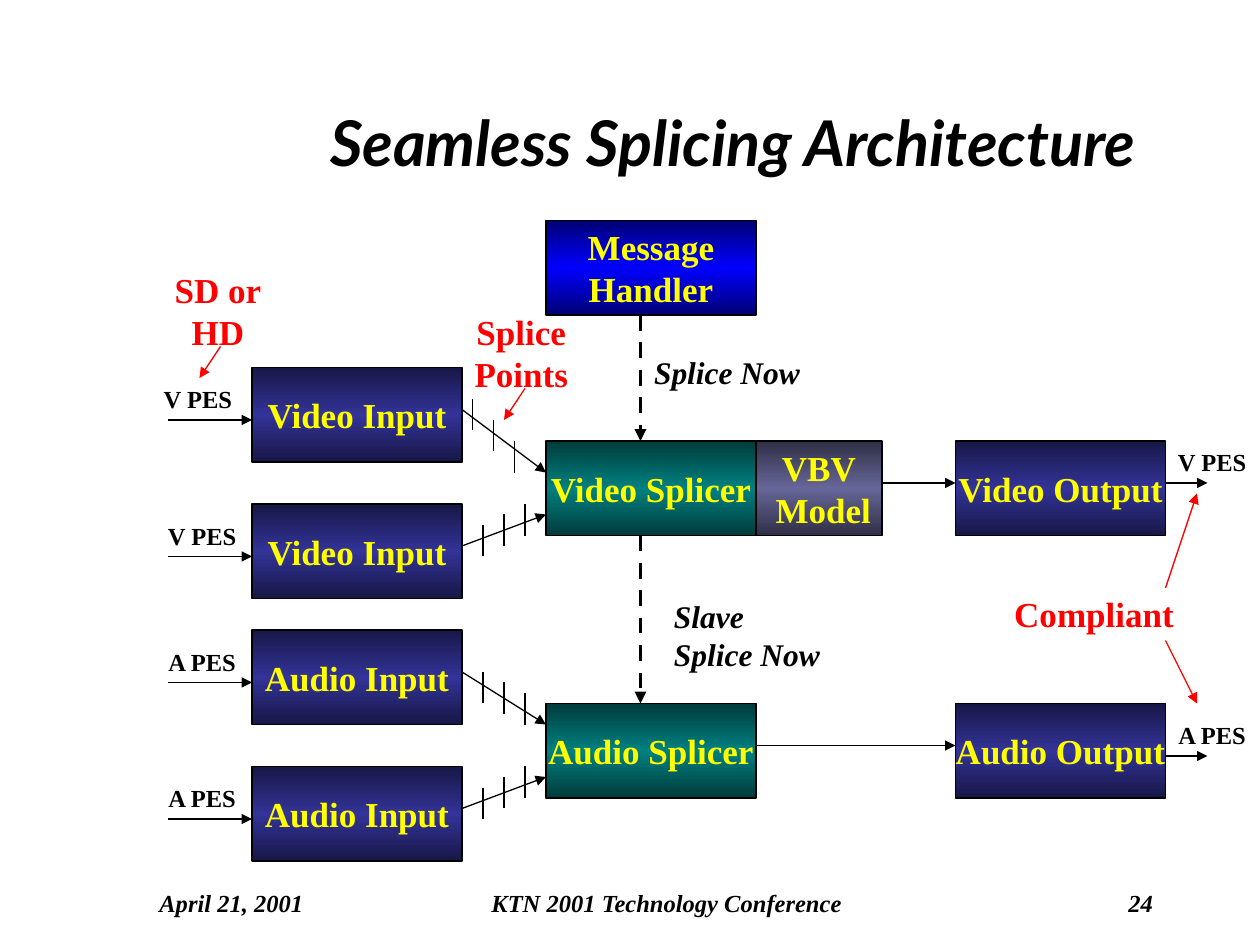
from copy import deepcopy

from pptx import Presentation
from pptx.dml.color import RGBColor
from pptx.enum.dml import MSO_LINE_DASH_STYLE as Dash
from pptx.enum.shapes import MSO_CONNECTOR as Connector, MSO_SHAPE as Preset
from pptx.enum.text import MSO_ANCHOR as Anchor, MSO_AUTO_SIZE as AutoSize, PP_ALIGN as Align
from pptx.oxml.ns import qn
from pptx.util import Cm, Pt

BLACK = RGBColor(0x00, 0x00, 0x00)
RED = RGBColor(0xFF, 0x00, 0x00)
YELLOW = RGBColor(0xFF, 0xFF, 0x00)
INDIGO = (RGBColor(0x17, 0x17, 0x46), RGBColor(0x33, 0x33, 0x99))
TEAL = (RGBColor(0x00, 0x3B, 0x3B), RGBColor(0x00, 0x80, 0x80))
SLATE = (RGBColor(0x2F, 0x2F, 0x46), RGBColor(0x66, 0x66, 0x99))
BLUE = (RGBColor(0x00, 0x00, 0x75), RGBColor(0x00, 0x00, 0xFF))

SERIF = "Times New Roman"
GRID_CM = 2.54 / 12
BOX_WIDTH, BOX_HEIGHT = 20, 9
TICK_HEIGHT = 3

BOXES = [
    ("Video Input", 24, 35, INDIGO),
    ("Video Input", 24, 48, INDIGO),
    ("Video Splicer", 52, 42, TEAL),
    ("Video Output", 91, 42, INDIGO),
    ("Message\nHandler", 52, 21, BLUE),
    ("Audio Input", 24, 60, INDIGO),
    ("Audio Input", 24, 73, INDIGO),
    ("Audio Splicer", 52, 67, TEAL),
    ("Audio Output", 91, 67, INDIGO),
]
STREAM_LABELS = [
    ("V PES", 14.4, 36), ("V PES", 14.8, 49), ("A PES", 14.8, 61),
    ("A PES", 14.8, 74), ("V PES", 111, 42), ("A PES", 111, 68),
]
INPUT_ROWS = [40, 53, 65, 78]
SPLICE_ARROWS = [
    ((44, 39), (52, 45)), ((44, 52), (52, 49)),
    ((44, 64), (52, 69)), ((44, 77), (52, 74)),
]
OUTPUT_ARROWS = [
    ((84, 46), (91, 46)), ((111, 46), (115, 46)),
    ((72, 71), (91, 71)), ((111, 72), (115, 72)),
]
MESSAGE_ARROWS = [((61, 30), (61, 42)), ((61, 51), (61, 67))]
CALLOUT_ARROWS = [
    ((111, 56), (114, 47)), ((111, 61), (114, 67)),
    ((50, 37), (48, 40)), ((21, 33), (19, 36)),
]
SPLICE_TICKS = [(45, 38, 2), (46, 50, -1), (46, 64, 1), (46, 75, -1)]
CALLOUTS = [
    ("Compliant", 95.4, 55.8, 17.6, 5.3),
    ("Splice\nPoints", 44, 29, 11.3, 9.2),
    ("SD or\nHD", 15.4, 25, 10.7, 9.2),
]
FOOTERS = [
    ("April 21, 2001", 14, 20, Align.LEFT),
    ("KTN 2001 Technology Conference", 39, 49, Align.CENTER),
    ("24", 86, 25, Align.RIGHT),
]


def grid(*steps):
    return [Cm(step * GRID_CM) for step in steps]


def write_text(frame, text, size=20, color=BLACK, font=SERIF, italic=False,
               align=Align.CENTER, anchor=Anchor.TOP, wrap=False):
    frame.word_wrap = wrap
    frame.auto_size = AutoSize.NONE
    frame.vertical_anchor = anchor
    frame.text = text
    for paragraph in frame.paragraphs:
        paragraph.alignment = align
        for run in paragraph.runs:
            run.font.name = font
            run.font.size = Pt(size)
            run.font.bold = True
            run.font.italic = italic
            run.font.color.rgb = color


def add_label(slide, text, left, top, width, height, **text_format):
    shape = slide.shapes.add_textbox(*grid(left, top, width, height))
    write_text(shape.text_frame, text, **text_format)


def add_box(slide, text, left, top, colors, width=BOX_WIDTH):
    shape = slide.shapes.add_shape(Preset.RECTANGLE, *grid(left, top, width, BOX_HEIGHT))
    shape.shadow.inherit = False
    edge, middle = colors
    shape.fill.gradient()
    shape.fill.gradient_angle = 90
    stop_list = shape._element.spPr.find(qn("a:gradFill")).find(qn("a:gsLst"))
    stop_list[0].addnext(deepcopy(stop_list[0]))
    for stop, position, color in zip(shape.fill.gradient_stops, (0, 0.5, 1), (edge, middle, edge)):
        stop.position = position
        stop.color.rgb = color
    shape.line.color.rgb = BLACK
    shape.line.width = Pt(0.75)
    write_text(shape.text_frame, text, color=YELLOW, anchor=Anchor.MIDDLE)


def add_line(slide, start, end, color=BLACK, width=0.75, dash=None, arrow=True):
    connector = slide.shapes.add_connector(Connector.STRAIGHT, *grid(*start, *end))
    connector.line.color.rgb = color
    connector.line.width = Pt(width)
    if dash:
        connector.line.dash_style = dash
    properties = connector._element.spPr
    if arrow:
        line = properties.find(qn("a:ln"))
        line.append(line.makeelement(qn("a:tailEnd"), {"type": "triangle"}))
    properties.append(properties.makeelement(qn("a:effectLst"), {}))


def add_ticks(slide, left, top, rise):
    for index in range(3):
        x, y = left + 2 * index, top + rise * index
        add_line(slide, (x, y), (x, y + TICK_HEIGHT), arrow=False)


def add_title(slide, text):
    title = slide.shapes.title
    title.left, title.top, title.width, title.height = grid(20, 6, 89.4, 15)
    write_text(title.text_frame, text, size=36, font="Lato", italic=True,
               align=Align.RIGHT, anchor=Anchor.MIDDLE, wrap=True)


def main():
    presentation = Presentation()
    presentation.slide_width, presentation.slide_height = Cm(25.4), Cm(19.05)
    slide = presentation.slides.add_slide(presentation.slide_layouts[5])
    add_title(slide, "Seamless Splicing Architecture")

    for text, left, top, colors in BOXES:
        add_box(slide, text, left, top, colors)
    add_box(slide, "VBV\n Model", 72, 42, SLATE, width=12)

    input_arrows = [((16, row), (24, row)) for row in INPUT_ROWS]
    for start, end in input_arrows + SPLICE_ARROWS + OUTPUT_ARROWS:
        add_line(slide, start, end)
    for text, left, top in STREAM_LABELS:
        add_label(slide, text, left, top, 8.9, 4.1, size=14)

    for start, end in MESSAGE_ARROWS:
        add_line(slide, start, end, width=2.25, dash=Dash.DASH)
    add_label(slide, "Splice Now", 61.1, 33, 16.3, 4.8, size=18, italic=True)
    add_label(slide, "Slave\nSplice Now", 63, 56.3, 16.3, 8.4, size=18, italic=True,
              align=Align.LEFT)

    for ticks in SPLICE_TICKS:
        add_ticks(slide, *ticks)
    for callout in CALLOUTS:
        add_label(slide, *callout, color=RED)
    for start, end in CALLOUT_ARROWS:
        add_line(slide, start, end, color=RED)
    for text, left, width, align in FOOTERS:
        add_label(slide, text, left, 84, width, 4, size=14, italic=True, align=align, wrap=True)

    presentation.save("out.pptx")


main()
